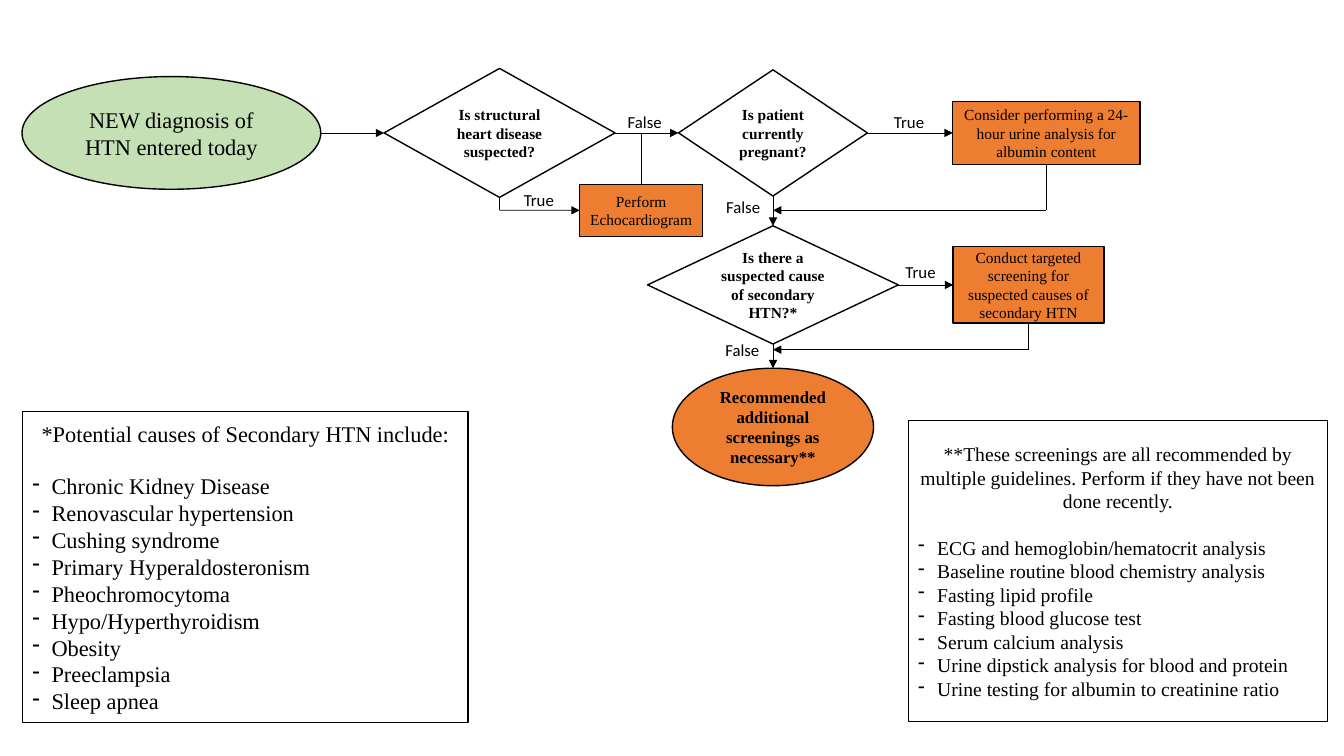
from lxml import etree
from pptx import Presentation
from pptx import util as u
from pptx.dml.color import RGBColor
from pptx.enum import shapes, text
from pptx.oxml.ns import qn

SHAPE = shapes.MSO_SHAPE
MID, LEFT = text.PP_ALIGN.CENTER, text.PP_ALIGN.LEFT
SERIF, SANS = "Times New Roman", "Calibri"
ORANGE, GREEN, WHITE, BLACK = "ED7D31", "C5E0B4", "FFFFFF", "000000"


def tint(code):
    """Turn a hex string into a colour."""
    return RGBColor.from_string(code)


def write(par, words, size=11, font=SERIF, bold=False, align=MID, dash=False, after=0):
    """Put formatted words into a paragraph."""
    par.alignment = align
    par.space_after = u.Pt(after)
    run = par.add_run()
    run.text = words
    run.font.size = u.Pt(size)
    run.font.name = font
    run.font.bold = bold
    run.font.color.rgb = tint(BLACK)
    if dash:
        props = par._p.get_or_add_pPr()
        indent = u.Cm(0.48)
        props.set("marL", str(indent))
        props.set("indent", str(-indent))
        etree.SubElement(props, qn("a:buChar")).set("char", "-")


def block(slide, kind, x, y, wide, high, fill=None):
    """Draw an outlined shape centred on a point."""
    shp = slide.shapes.add_shape(
        kind, u.Cm(x - wide / 2), u.Cm(y - high / 2), u.Cm(wide), u.Cm(high))
    shp.shadow.inherit = False
    if fill:
        shp.fill.solid()
        shp.fill.fore_color.rgb = tint(fill)
    else:
        shp.fill.background()
    shp.line.color.rgb = tint(BLACK)
    shp.line.width = u.Pt(1)
    shp.text_frame.word_wrap = True
    shp.text_frame.vertical_anchor = text.MSO_ANCHOR.MIDDLE
    return shp


def node(slide, kind, box, words, fill=None, **form):
    """Draw a flow step with its words."""
    shp = block(slide, kind, *box, fill=fill)
    write(shp.text_frame.paragraphs[0], words, **form)
    return shp


def label(slide, x, y, words):
    """Name a branch of the flow."""
    frame = slide.shapes.add_textbox(u.Cm(x), u.Cm(y), u.Cm(1.45), u.Cm(0.77)).text_frame
    frame.word_wrap = False
    write(frame.paragraphs[0], words, size=12, font=SANS, align=LEFT)


def spot(end):
    """Find the point of a (shape, side) pair or a plain (x, y) pair."""
    shp, side = end
    if isinstance(shp, int):
        return end
    dx, dy = ((1, 0), (0, 1), (1, 2), (2, 1))[side]
    return shp.left + shp.width * dx // 2, shp.top + shp.height * dy // 2


def wire(slide, start, stop, arrow=True):
    """Draw a straight line, joined to any shape at its ends."""
    line = slide.shapes.add_connector(
        shapes.MSO_CONNECTOR.STRAIGHT, *spot(start), *spot(stop))
    if not isinstance(start[0], int):
        line.begin_connect(*start)
    if not isinstance(stop[0], int):
        line.end_connect(*stop)
    line.line.color.rgb = tint(BLACK)
    line.line.width = u.Pt(0.5)
    if arrow:
        etree.SubElement(line.line._get_or_add_ln(), qn("a:tailEnd")).set("type", "triangle")
    etree.SubElement(line._element.spPr, qn("a:effectLst"))


def bend(slide, shp, y, stop):
    """Run down from a shape to a level, then across to the stop."""
    turn = (spot((shp, 2))[0], y)
    wire(slide, (shp, 2), turn, arrow=False)
    wire(slide, turn, stop)


def flow(slide, x, y):
    """Draw the decision flow from its top left corner."""
    row, low, col = y + 1.61, y + 3.56, x + 18.91
    oval, gem, rect = SHAPE.OVAL, SHAPE.DIAMOND, SHAPE.RECTANGLE
    start = node(slide, oval, (x + 3.75, row, 7.53, 2.84),
                 "NEW diagnosis of HTN entered today", GREEN, size=16)
    heart = node(slide, gem, (x + 12.02, row, 5.82, 3.25),
                 "Is structural heart disease suspected?", bold=True)
    preg = node(slide, gem, (col, row, 4.76, 3.18),
                "Is patient currently pregnant?", bold=True)
    urine = node(slide, rect, (x + 25.8, row, 4.72, 1.58),
                 "Consider performing a 24-hour urine analysis for albumin content", ORANGE)
    echo = node(slide, rect, (x + 15.59, low, 3.1, 1.31), "Perform Echocardiogram", ORANGE)
    cause = node(slide, gem, (col, y + 5.44, 6.32, 2.98),
                 "Is there a suspected cause of secondary HTN?*", bold=True)
    target = node(slide, rect, (x + 25.35, y + 5.44, 3.8, 1.93),
                  "Conduct targeted screening for suspected causes of secondary HTN", ORANGE)
    final = node(slide, oval, (col, y + 9.02, 5.07, 2.96),
                 "Recommended additional screenings as necessary**", ORANGE, size=12, bold=True)

    for left, right in ((start, heart), (heart, preg), (preg, urine), (cause, target)):
        wire(slide, (left, 3), (right, 1))
    for upper, lower in ((preg, cause), (cause, final)):
        wire(slide, (upper, 2), (lower, 0))
    bend(slide, heart, u.Cm(low), (echo, 1))
    wire(slide, (echo, 0), (spot((echo, 0))[0], u.Cm(row)), arrow=False)
    for shp, level in ((urine, low), (target, y + 7.07)):
        bend(slide, shp, u.Cm(level), (u.Cm(col), u.Cm(level)))

    for dx, dy, words in ((15, 0.96, "False"), (12.38, 2.91, "True"), (21.71, 0.96, "True"),
                          (17.48, 3.09, "False"), (22, 4.73, "True"), (17.46, 6.7, "False")):
        label(slide, x + dx, y + dy, words)


def note(slide, x, y, wide, high, head, items, size):
    """Draw a framed note with a heading and a dashed list."""
    frame = block(slide, SHAPE.RECTANGLE, x + wide / 2, y + high / 2,
                  wide, high, WHITE).text_frame
    write(frame.paragraphs[0], head, size=size, after=round(size * 1.15, 1))
    for item in items:
        write(frame.add_paragraph(), item, size=size, align=LEFT, dash=True)


def main():
    """Build and save the slide."""
    deck = Presentation()
    deck.slide_width, deck.slide_height = u.Cm(33.87), u.Cm(19.05)
    slide = deck.slides.add_slide(deck.slide_layouts[6])
    flow(slide, 0.57, 1.74)
    note(slide, 0.57, 10.37, 11.23, 7.84, "*Potential causes of Secondary HTN include:", (
        "Chronic Kidney Disease", "Renovascular hypertension", "Cushing syndrome",
        "Primary Hyperaldosteronism", "Pheochromocytoma", "Hypo/Hyperthyroidism",
        "Obesity", "Preeclampsia", "Sleep apnea"), 16)
    note(slide, 22.89, 10.6, 10.57, 7.59,
         "**These screenings are all recommended by multiple guidelines. "
         "Perform if they have not been done recently.", (
             "ECG and hemoglobin/hematocrit analysis",
             "Baseline routine blood chemistry analysis", "Fasting lipid profile",
             "Fasting blood glucose test", "Serum calcium analysis",
             "Urine dipstick analysis for blood and protein",
             "Urine testing for albumin to creatinine ratio"), 14)
    deck.save("out.pptx")


if __name__ == "__main__":
    main()
